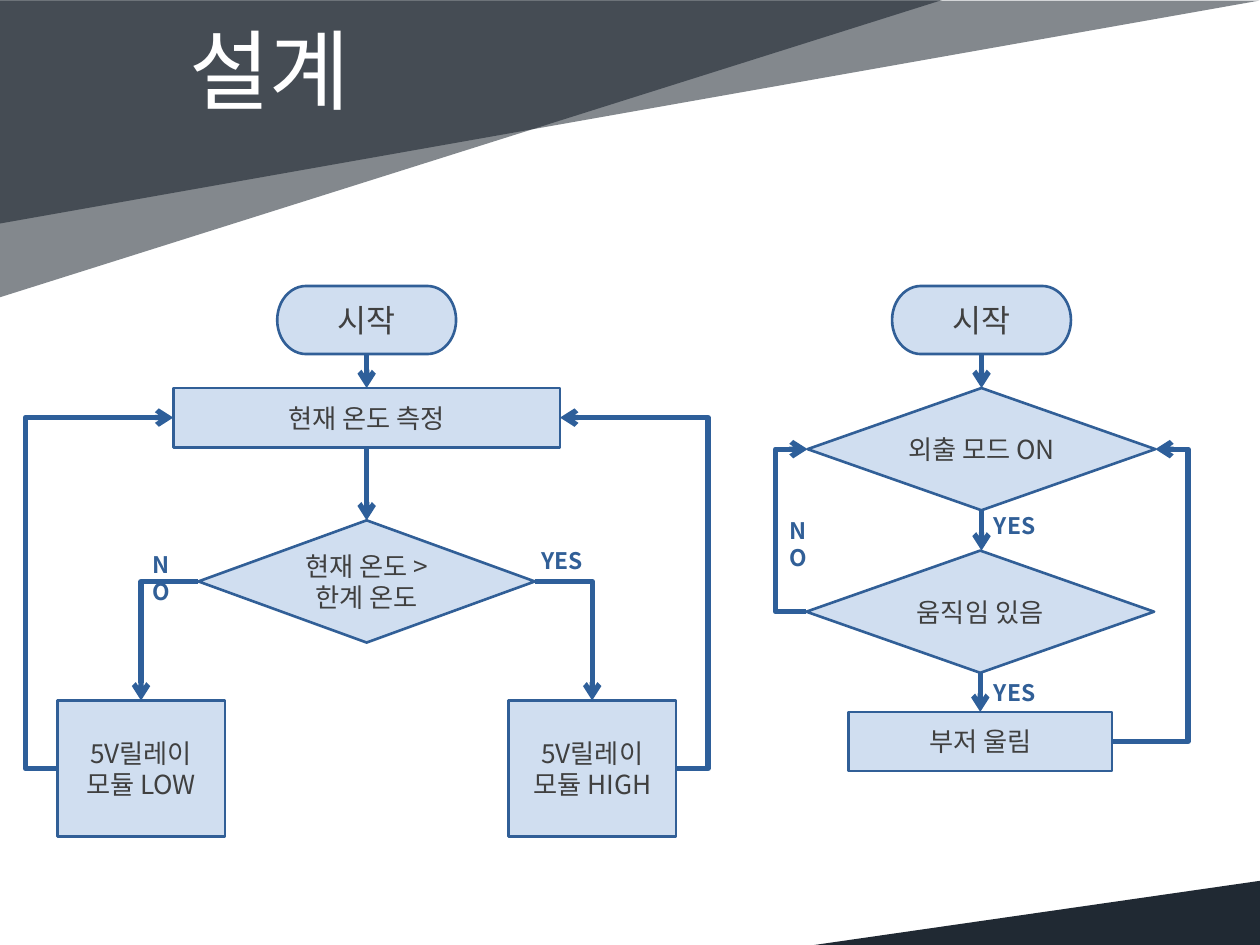
from lxml import etree
from pptx import Presentation
from pptx.dml.color import RGBColor
from pptx.enum.shapes import MSO_CONNECTOR, MSO_SHAPE
from pptx.enum.text import MSO_ANCHOR, PP_ALIGN
from pptx.oxml.ns import qn
from pptx.util import Inches, Pt

PROCESS = MSO_SHAPE.FLOWCHART_PROCESS
DECISION = MSO_SHAPE.FLOWCHART_DECISION
TERMINATOR = MSO_SHAPE.FLOWCHART_TERMINATOR
TRIANGLE = MSO_SHAPE.RIGHT_TRIANGLE
STRAIGHT, ELBOW = MSO_CONNECTOR.STRAIGHT, MSO_CONNECTOR.ELBOW
CENTER, LEFT = PP_ALIGN.CENTER, PP_ALIGN.LEFT
MIDDLE, TOP = MSO_ANCHOR.MIDDLE, MSO_ANCHOR.TOP

FONT = "Noto Sans CJK KR"
COLORS = {
    "band": "08121D", "title": "FFFFFF", "node": "D0DEF0",
    "outline": "315F97", "arrow": "2E5F9A", "text": "404040",
}
TITLE_FORMAT = {"size": Pt(50), "bold": False}
START_FORMAT = {"size": Pt(18), "bold": False}
NODE_FORMAT = {"size": Pt(15), "bold": False}
LABEL_FORMAT = {"size": Pt(13), "bold": True}


def color(name):
    return RGBColor.from_string(COLORS[name])


def write(shape, text, text_format, text_color, align=CENTER, anchor=MIDDLE):
    frame = shape.text_frame
    frame.word_wrap = True
    frame.vertical_anchor = anchor
    paragraph = frame.paragraphs[0]
    paragraph.alignment = align
    paragraph.text = text
    for run in paragraph.runs:
        for name, value in text_format.items():
            setattr(run.font, name, value)
        run.font.color.rgb = color(text_color)
        run.font.name = FONT
        etree.SubElement(run.font._element, qn("a:ea"), typeface=FONT)


# Decorative bands
def add_band(slide, box, opacity, rotation=0, flip=False):
    band = slide.shapes.add_shape(TRIANGLE, *map(Inches, box))
    band.shadow.inherit = False
    band.rotation = rotation
    band.fill.solid()
    band.fill.fore_color.rgb = color("band")
    band.line.fill.background()
    srgb = band._element.spPr.find(".//" + qn("a:srgbClr"))
    etree.SubElement(srgb, qn("a:alpha"), val=str(opacity * 1000))
    if flip:
        band._element.spPr.find(qn("a:xfrm")).set("flipV", "1")
    return band


def add_header(slide, box):
    add_band(slide, (0, 0, 7.48, 2.36), 50, flip=True)
    front_band = add_band(slide, (4.11, -4.11, 1.77, 10), 50, rotation=90)
    title = slide.shapes.title
    title.left, title.top, title.width, title.height = map(Inches, box)
    write(title, "설계", TITLE_FORMAT, "title")
    # The title lies above the bands
    front_band._element.addnext(title._element)


# Flowchart parts
def add_node(slide, kind, text, axis, top, width, height, text_format=NODE_FORMAT):
    node = slide.shapes.add_shape(
        kind, Inches(axis - width / 2), Inches(top), Inches(width), Inches(height))
    node.shadow.inherit = False
    node.fill.solid()
    node.fill.fore_color.rgb = color("node")
    node.line.color.rgb = color("outline")
    node.line.width = Pt(1.5)
    write(node, text, text_format, "text")
    return node


def add_label(slide, text, left, top, width):
    label = slide.shapes.add_textbox(
        Inches(left), Inches(top), Inches(width), Inches(0.32))
    write(label, text, LABEL_FORMAT, "outline", LEFT, TOP)


def side(node, name):
    x, y = node.left + node.width // 2, node.top + node.height // 2
    return {
        "top": (x, node.top), "bottom": (x, node.top + node.height),
        "left": (node.left, y), "right": (node.left + node.width, y),
    }[name]


def add_arrow(slide, kind, start, end):
    arrow = slide.shapes.add_connector(kind, *start, *end)
    arrow.line.color.rgb = color("arrow")
    arrow.line.width = Pt(3)
    line = arrow._element.spPr.find(qn("a:ln"))
    etree.SubElement(line, qn("a:tailEnd"), type="arrow")
    etree.SubElement(arrow._element.spPr, qn("a:effectLst"))
    return arrow


def add_down(slide, upper, lower):
    x, y = side(upper, "bottom")
    add_arrow(slide, STRAIGHT, (x, y), (x, lower.top))


def add_branch(slide, decision, name, target):
    arrow = add_arrow(slide, ELBOW, side(decision, name), side(target, "top"))
    arrow._element.spPr.find(qn("a:prstGeom")).set("prst", "bentConnector2")


def add_loop(slide, source, target, name, lane):
    """Leave source and enter target on the same side, by way of x = lane."""
    start, end = side(source, name), side(target, name)
    arrow = add_arrow(slide, ELBOW, start, end)
    bend = round(100000 * (Inches(lane) - start[0]) / (end[0] - start[0]))
    guides = arrow._element.spPr.find(".//" + qn("a:avLst"))
    etree.SubElement(guides, qn("a:gd"), name="adj1", fmla=f"val {bend}")


def add_temperature_flow(slide, left, top, width):
    axis = left + width / 2
    start = add_node(slide, TERMINATOR, "시작", axis, top, 1.42, 0.54, START_FORMAT)
    measure = add_node(slide, PROCESS, "현재 온도 측정", axis, top + 0.81, 3.07, 0.47)
    compare = add_node(
        slide, DECISION, "현재 온도 > 한계 온도", axis, top + 1.86, 2.67, 0.97)
    add_down(slide, start, measure)
    add_down(slide, measure, compare)
    add_label(slide, "NO", left + 0.91, top + 2.05, 0.46)
    add_label(slide, "YES", left + 4, top + 2.02, 0.6)
    for name, level, sign in (("left", "LOW", -1), ("right", "HIGH", 1)):
        relay = add_node(slide, PROCESS, f"5V릴레이\v모듈 {level}",
                         axis + sign * 1.79, top + 3.29, 1.33, 1.08)
        add_branch(slide, compare, name, relay)
        add_loop(slide, relay, measure, name, axis + sign * width / 2)


def add_motion_flow(slide, left, top, width):
    axis = left + width / 2
    start = add_node(slide, TERMINATOR, "시작", axis, top, 1.42, 0.54, START_FORMAT)
    away = add_node(slide, DECISION, "외출 모드 ON", axis, top + 0.81, 2.76, 0.97)
    motion = add_node(
        slide, DECISION, "움직임 있음", axis - 0.01, top + 2.1, 2.76, 0.97)
    buzzer = add_node(slide, PROCESS, "부저 울림", axis - 0.01, top + 3.38, 2.09, 0.47)
    for upper, lower in ((start, away), (away, motion), (motion, buzzer)):
        add_down(slide, upper, lower)
    for label_top in (1.74, 3.07):
        add_label(slide, "YES", axis, top + label_top, 0.6)
    add_label(slide, "NO", left + 0.02, top + 1.78, 0.46)
    add_loop(slide, motion, away, "left", left)
    add_loop(slide, buzzer, away, "right", left + width)


def main():
    deck = Presentation()
    deck.slide_width, deck.slide_height = Inches(10), Inches(7.5)
    slide = deck.slides.add_slide(deck.slide_layouts[5])
    add_header(slide, (0.04, 0.07, 4.2, 0.94))
    add_band(slide, (6.46, 6.99, 3.54, 0.51), 90, rotation=180, flip=True)
    add_temperature_flow(slide, 0.2, 2.27, 5.42)
    add_motion_flow(slide, 6.15, 2.27, 3.28)
    deck.save("out.pptx")


if __name__ == "__main__":
    main()
